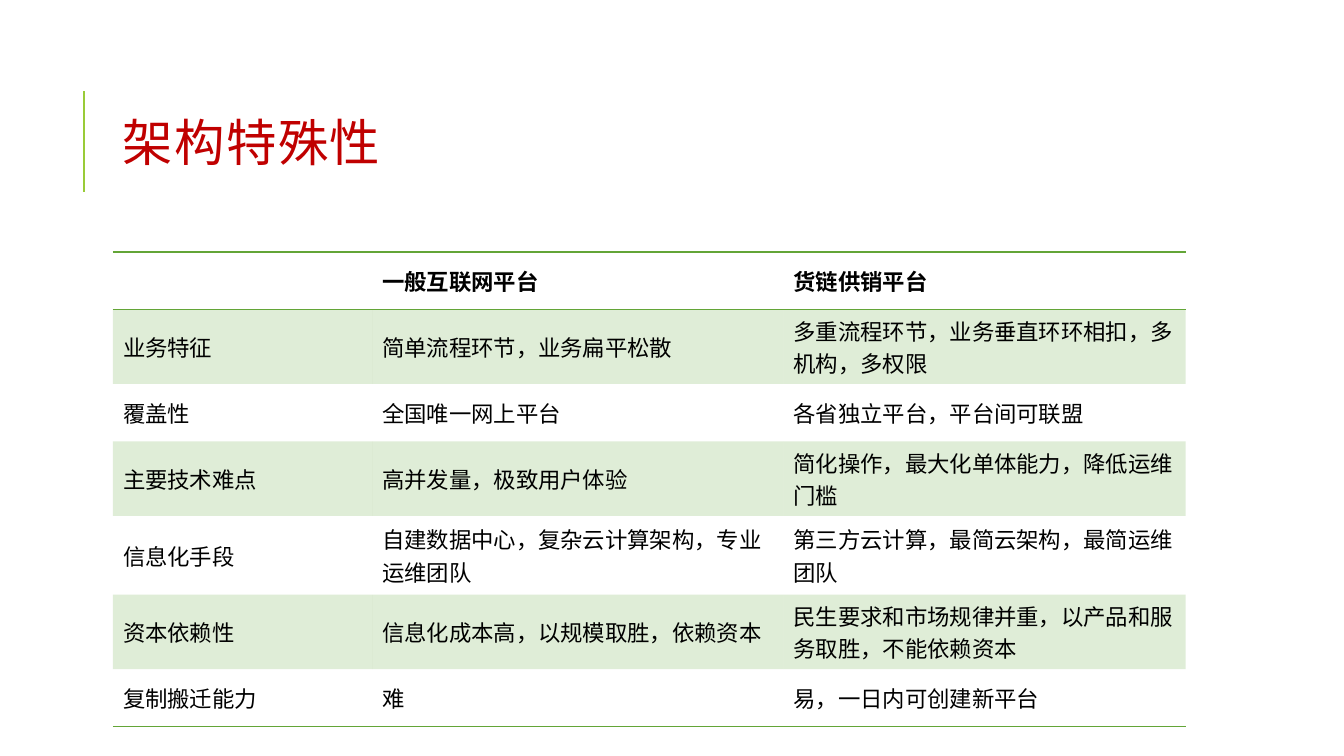
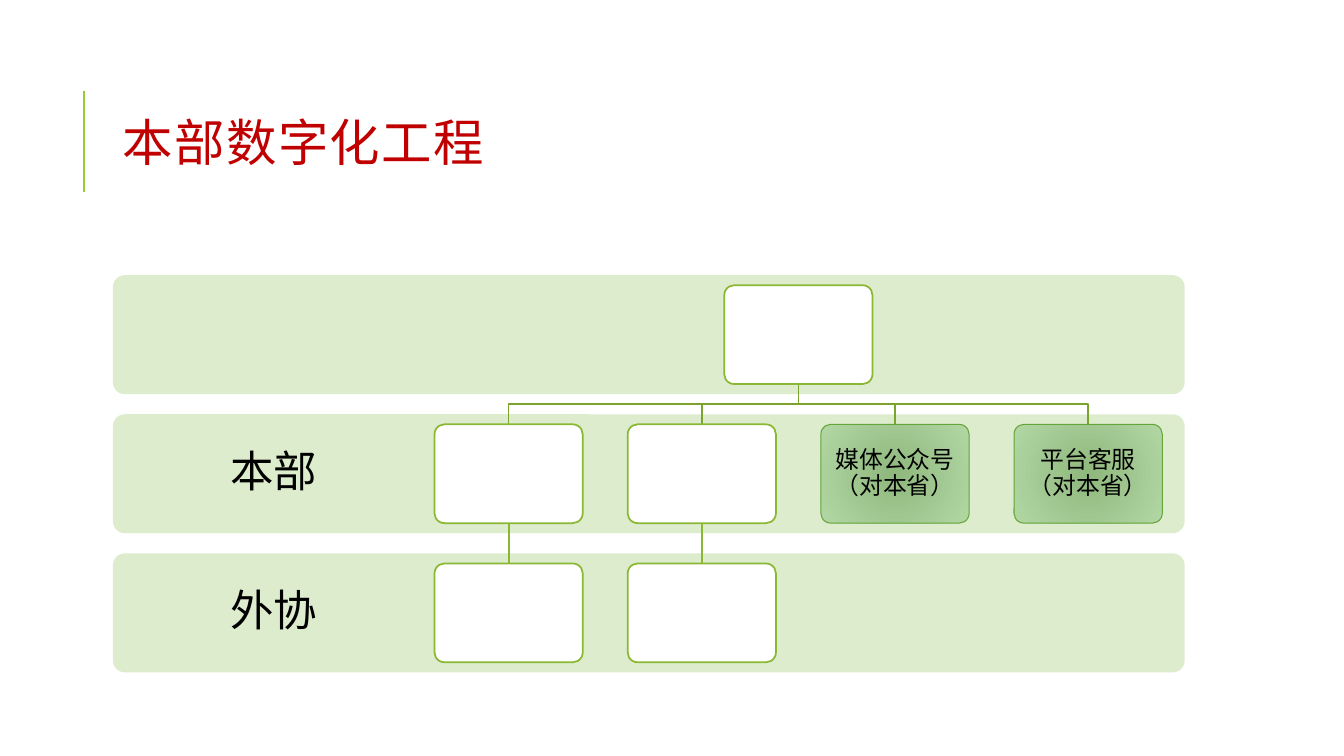
from dataclasses import dataclass

from lxml import etree
from pptx import Presentation, util as u
from pptx.dml.color import RGBColor
from pptx.enum import shapes, text
from pptx.oxml import ns


@dataclass(frozen=True)
class Theme:
    font: str = "Noto Sans CJK SC"
    title: str = "C00000"
    ink: str = "000000"
    white: str = "FFFFFF"
    rule: str = "99CB38"
    green: str = "63A537"
    band: str = "DEECCE"
    box_line: str = "8BB833"
    trunk: str = "7BA32D"
    glow: tuple = ("8FB87D", "B2D7A4")
    title_size: float = 36
    cell_size: float = 16
    band_size: float = 31
    box_size: float = 17


@dataclass(frozen=True)
class Grid:
    width: float = 13.33
    height: float = 7.5
    left: float = 1.12
    body: float = 10.63
    label: float = 3.19
    band_top: float = 2.73
    band_height: float = 1.18
    band_pitch: float = 1.38
    box_left: float = 4.31
    box_pitch: float = 1.916
    box_width: float = 1.47
    box_height: float = 0.98

    def band_y(self, row):
        return self.band_top + row * self.band_pitch

    def box(self, col, row):
        inset = (self.band_height - self.box_height) / 2
        return (self.box_left + col * self.box_pitch, self.band_y(row) + inset,
                self.box_width, self.box_height)


T = Theme()
G = Grid()

TABLE_ROWS = [
    ("", "一般互联网平台", "货链供销平台"),
    ("业务特征", "简单流程环节，业务扁平松散", "多重流程环节，业务垂直环环相扣，多机构，多权限"),
    ("覆盖性", "全国唯一网上平台", "各省独立平台，平台间可联盟"),
    ("主要技术难点", "高并发量，极致用户体验", "简化操作，最大化单体能力，降低运维门槛"),
    ("信息化手段", "自建数据中心，复杂云计算架构，专业运维团队", "第三方云计算，最简云架构，最简运维团队"),
    ("资本依赖性", "信息化成本高，以规模取胜，依赖资本", "民生要求和市场规律并重，以产品和服务取胜，不能依赖资本"),
    ("复制搬迁能力", "难", "易，一日内可创建新平台"),
]
COLUMN_WIDTHS = (2.57, 4.08, 3.99)
ROW_HEIGHTS = (0.57, 0.74, 0.57, 0.74, 0.78, 0.74, 0.57)
NO_STYLE = "{2D5ABB26-0587-4C30-8999-92F81FD0307C}"

BAND_LABELS = ("", "本部", "外协")
ROOT = (1.5, 0)
BOXES = [
    (*ROOT, ()),
    (0, 1, ()), (1, 1, ()),
    (2, 1, ("媒体公众号", "（对本省）")),
    (3, 1, ("平台客服", "（对本省）")),
    (0, 2, ()), (1, 2, ()),
]


def rgb(value):
    return RGBColor.from_string(value)


def inches(*values):
    return [u.Inches(v) for v in values]


def add_run(p, content, size, color=T.ink, bold=False, spacing=0):
    r = p.add_run()
    r.text = content
    r.font.size = u.Pt(size)
    r.font.bold = bold
    r.font.color.rgb = rgb(color)
    r.font.name = T.font
    props = r.font._element
    etree.SubElement(props, ns.qn("a:ea"), typeface=T.font)
    if spacing:
        props.set("spc", str(spacing * 100))


def add_text(s, area, lines, size, color=T.ink, align=text.PP_ALIGN.CENTER,
             line_spacing=0.9, margin=0.07, spacing=0):
    tf = s.shapes.add_textbox(*inches(*area)).text_frame
    tf.word_wrap = True
    tf.vertical_anchor = text.MSO_ANCHOR.MIDDLE
    tf.margin_left = tf.margin_right = u.Inches(margin)
    tf.margin_top = tf.margin_bottom = u.Inches(margin)
    p = tf.paragraphs[0]
    p.alignment = align
    p.line_spacing = line_spacing
    for i, line in enumerate(lines):
        if i:
            p.add_line_break()
        add_run(p, line, size, color, spacing=spacing)


def add_line(s, x1, y1, x2, y2, color, width):
    line = s.shapes.add_connector(shapes.MSO_CONNECTOR.STRAIGHT, *inches(x1, y1, x2, y2))
    line.line.color.rgb = rgb(color)
    line.line.width = u.Pt(width)
    etree.SubElement(line._element.spPr, ns.qn("a:effectLst"))


def add_panel(s, area, fill, line=None, width=1.25):
    sp = s.shapes.add_shape(shapes.MSO_SHAPE.ROUNDED_RECTANGLE, *inches(*area))
    sp.adjustments[0] = 0.1
    sp.shadow.inherit = False
    if isinstance(fill, tuple):
        fill_radial(sp, fill)
    else:
        sp.fill.solid()
        sp.fill.fore_color.rgb = rgb(fill)
    if line:
        sp.line.color.rgb = rgb(line)
        sp.line.width = u.Pt(width)
    else:
        sp.line.fill.background()


def fill_radial(sp, colors):
    sp.fill.gradient()
    for stop, color in zip(sp.fill.gradient_stops, colors):
        stop.color.rgb = rgb(color)
    grad = sp._element.spPr.find(ns.qn("a:gradFill"))
    grad.remove(grad.find(ns.qn("a:lin")))
    radial = etree.SubElement(grad, ns.qn("a:path"), path="circle")
    etree.SubElement(radial, ns.qn("a:fillToRect"), {side: "100000" for side in "ltrb"})


def add_elbow(s, x1, y1, x2, y2):
    middle = (y1 + y2) / 2
    points = [inches(x, y) for x, y in ((x1, middle), (x2, middle), (x2, y2))]
    builder = s.shapes.build_freeform(*inches(x1, y1))
    builder.add_line_segments(points, close=False)
    sp = builder.convert_to_shape()
    sp.shadow.inherit = False
    sp.fill.background()
    sp.line.color.rgb = rgb(T.trunk)
    sp.line.width = u.Pt(1.25)


def add_border(cell, tag):
    props = cell._tc.get_or_add_tcPr()
    line = etree.SubElement(props, ns.qn(tag), w=str(u.Pt(1)))
    fill = etree.SubElement(line, ns.qn("a:solidFill"))
    etree.SubElement(fill, ns.qn("a:srgbClr"), val=T.green)


def style_cell(cell, row):
    cell.vertical_anchor = text.MSO_ANCHOR.MIDDLE
    if row == 0:
        add_border(cell, "a:lnT")
    if row in (0, len(TABLE_ROWS) - 1):
        add_border(cell, "a:lnB")
    if row % 2:
        cell.fill.solid()
        cell.fill.fore_color.rgb = rgb(T.green)
        color = cell._tc.tcPr.find(".//" + ns.qn("a:srgbClr"))
        etree.SubElement(color, ns.qn("a:alpha"), val="20000")
    else:
        cell.fill.background()


def add_comparison(s):
    area = (G.left, G.height / 3, G.body, sum(ROW_HEIGHTS))
    frame = s.shapes.add_table(len(TABLE_ROWS), len(COLUMN_WIDTHS), *inches(*area))
    table = frame.table
    table.first_row = table.horz_banding = False
    table._tbl.tblPr.find(ns.qn("a:tableStyleId")).text = NO_STYLE
    for column, width in zip(table.columns, COLUMN_WIDTHS):
        column.width = u.Inches(width)
    for i, (row, height) in enumerate(zip(table.rows, ROW_HEIGHTS)):
        row.height = u.Inches(height)
        for cell, content in zip(row.cells, TABLE_ROWS[i]):
            style_cell(cell, i)
            if content:
                p = cell.text_frame.paragraphs[0]
                add_run(p, content, T.cell_size, bold=i == 0)


def add_bands(s):
    for i, label in enumerate(BAND_LABELS):
        y = G.band_y(i)
        add_panel(s, (G.left, y, G.body, G.band_height), T.band)
        if label:
            add_text(s, (G.left, y, G.label, G.band_height), [label], T.band_size, margin=0.24)


def add_links(s):
    x, y, w, h = G.box(*ROOT)
    for col in range(4):
        child_x, child_y, _, _ = G.box(col, 1)
        add_elbow(s, x + w / 2, y + h, child_x + w / 2, child_y)
    for col in range(2):
        x, y, w, h = G.box(col, 1)
        add_line(s, x + w / 2, y + h, x + w / 2, G.box(col, 2)[1], T.box_line, 1.25)


def add_boxes(s):
    for col, row, lines in BOXES:
        area = G.box(col, row)
        if lines:
            add_panel(s, area, T.glow, T.green, 0.75)
            add_text(s, area, lines, T.box_size)
        else:
            add_panel(s, area, T.white, T.box_line)


def add_titled_slide(prs, title):
    s = prs.slides.add_slide(prs.slide_layouts[6])
    add_line(s, 0.83, 1.9, 0.83, 0.9, T.rule, 1.5)
    add_text(s, (G.left, 0.64, G.body, 1.64), [title], T.title_size, T.title,
             text.PP_ALIGN.LEFT, line_spacing=0.8, margin=0.1, spacing=1)
    return s


def main():
    prs = Presentation()
    prs.slide_width, prs.slide_height = inches(G.width, G.height)

    add_comparison(add_titled_slide(prs, "架构特殊性"))

    s = add_titled_slide(prs, "本部数字化工程")
    add_bands(s)
    add_links(s)
    add_boxes(s)

    prs.save("out.pptx")


if __name__ == "__main__":
    main()
